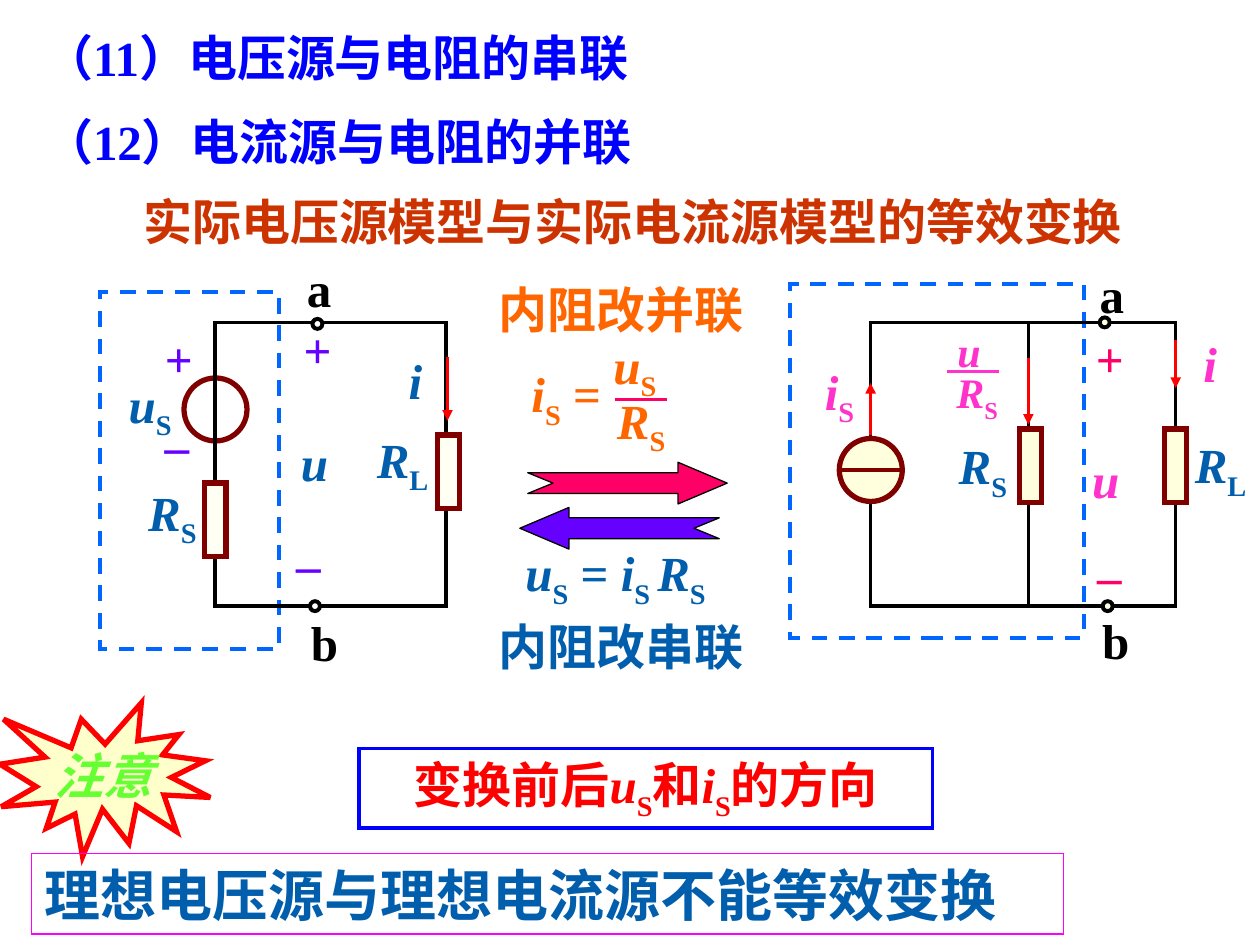
from lxml import etree
from pptx import Presentation
from pptx.dml.color import RGBColor
from pptx.enum.dml import MSO_LINE
from pptx.enum.shapes import MSO_CONNECTOR, MSO_SHAPE
from pptx.enum.text import MSO_ANCHOR, MSO_AUTO_SIZE, PP_ALIGN
from pptx.oxml.ns import qn
from pptx.util import Cm, Pt

RECT, OVAL, BURST = MSO_SHAPE.RECTANGLE, MSO_SHAPE.OVAL, MSO_SHAPE.EXPLOSION1
STRAIGHT, DASH = MSO_CONNECTOR.STRAIGHT, MSO_LINE.DASH
LEFT, CENTER = PP_ALIGN.LEFT, PP_ALIGN.CENTER
MIDDLE = MSO_ANCHOR.MIDDLE
GROW, FIXED = MSO_AUTO_SIZE.SHAPE_TO_FIT_TEXT, MSO_AUTO_SIZE.NONE

BLACK = RGBColor(0x00, 0x00, 0x00)
WHITE = RGBColor(0xFF, 0xFF, 0xFF)
BLUE = RGBColor(0x00, 0x00, 0xFF)
STEEL = RGBColor(0x00, 0x5E, 0xAC)
SKY = RGBColor(0x00, 0x66, 0xFF)
VIOLET = RGBColor(0x66, 0x00, 0xFF)
RED = RGBColor(0xFF, 0x00, 0x00)
BRICK = RGBColor(0xCC, 0x33, 0x00)
MAROON = RGBColor(0x80, 0x00, 0x00)
ORANGE = RGBColor(0xFF, 0x66, 0x00)
ROSE = RGBColor(0xFF, 0x00, 0x66)
PINK = RGBColor(0xFF, 0x33, 0xCC)
MAGENTA = RGBColor(0xFF, 0x00, 0xFF)
GREEN = RGBColor(0x66, 0xFF, 0x33)
PALE = RGBColor(0xFF, 0xFF, 0xCC)
CREAM = RGBColor(0xFF, 0xFF, 0xDD)
IVORY = RGBColor(0xFF, 0xFF, 0xF3)

prs = Presentation()
prs.slide_width, prs.slide_height = Cm(25.4), Cm(19.05)
slide = prs.slides.add_slide(prs.slide_layouts[6])
shapes = slide.shapes


def write(s, runs, color, size=28, align=CENTER, wrap=False, fit=GROW):
    """Runs are (text, style); style i is italic, s is subscript."""
    tf = s.text_frame
    tf.word_wrap = wrap
    tf.auto_size = fit
    tf.vertical_anchor = MIDDLE
    p = tf.paragraphs[0]
    p.alignment = align
    for text, style in runs:
        r = p.add_run()
        r.text = text
        r.font.name = "Times New Roman"
        r.font.size = Pt(size)
        r.font.bold = True
        r.font.italic = style == "i"
        r.font.color.rgb = color
        if style == "s":
            r.font._element.set("baseline", "-25000")


def draw(kind, x, y, w, h, fill, color, width):
    """Add a preset shape with sharp corners."""
    s = shapes.add_shape(kind, Cm(x), Cm(y), Cm(w), Cm(h))
    s.shadow.inherit = False
    if fill is None:
        s.fill.background()
    else:
        s.fill.solid()
        s.fill.fore_color.rgb = fill
    s.line.color.rgb = color
    s.line.width = Pt(width)
    etree.SubElement(s.element.spPr.find(qn("a:ln")), qn("a:miter"), lim="800000")
    return s


# Headings
for x, y, w, text, color in [
    (0.64, 0.43, 17.15, "（11）电压源与电阻的串联", BLUE),
    (0.64, 2.11, 17.15, "（12）电流源与电阻的并联", BLUE),
    (2.64, 3.73, 20.85, "实际电压源模型与实际电流源模型的等效变换", BRICK),
]:
    s = shapes.add_textbox(Cm(x), Cm(y), Cm(w), Cm(1.45))
    write(s, [(text, "")], color, align=LEFT, wrap=True)

# Notes at the bottom
s = draw(BURST, 0, 14.17, 4.24, 3.1, PALE, RED, 3)
write(s, [("注意", "i")], GREEN, fit=FIXED)
s = draw(RECT, 7.24, 15.09, 11.56, 1.6, WHITE, BLUE, 2.25)
write(s, [("变换前后", ""), ("u", "i"), ("S", "s"), ("和", ""), ("i", "i"),
          ("S", "s"), ("的方向", "")], RED, wrap=True)
s = draw(RECT, 0.64, 17.2, 20.8, 1.63, None, MAGENTA, 0.75)
write(s, [("理想电压源与理想电流源不能等效变换", "")], STEEL, 32, LEFT, True)

# Opposite block arrows, outlined from the upper tail corner
OUTLINE = [(0, 0), (3.03, 0), (3.03, -0.21), (4.02, 0.21), (3.03, 0.63),
           (3.03, 0.42), (0, 0.42), (0.51, 0.21)]
for x, y, way, color in [(10.64, 9.53, 1, ROSE), (14.5, 10.44, -1, VIOLET)]:
    points = [(Cm(x + way * dx), Cm(y + dy)) for dx, dy in OUTLINE]
    builder = shapes.build_freeform(*points[0])
    builder.add_line_segments(points[1:], close=True)
    s = builder.convert_to_shape()
    s.shadow.inherit = False
    s.fill.solid()
    s.fill.fore_color.rgb = color
    s.line.color.rgb = BLACK
    s.line.width = Pt(0.75)

# Dashed frames of the two source models
for x, y, w, h in [(2.01, 5.89, 3.61, 7.19), (15.93, 5.72, 5.92, 7.14)]:
    s = draw(RECT, x, y, w, h, None, SKY, 2.25)
    s.line.dash_style = DASH

# Sources and wire loops
draw(OVAL, 3.71, 7.62, 1.27, 1.27, None, MAROON, 3)
draw(RECT, 4.34, 6.5, 4.65, 5.72, None, BLACK, 2)
draw(RECT, 17.55, 6.5, 6.15, 5.72, None, BLACK, 2)
draw(OVAL, 16.92, 8.84, 1.27, 1.27, CREAM, MAROON, 3)

# Branch wire, source bar, fraction bars and current arrows
for x1, y1, x2, y2, color, arrow in [
    (20.73, 6.5, 20.73, 12.22, BLACK, False),
    (16.92, 9.47, 18.19, 9.47, MAROON, False),
    (12.4, 8.05, 13.44, 8.05, ROSE, False),
    (19.1, 7.49, 20.14, 7.49, PINK, False),
    (9.02, 7.19, 9.02, 8.48, RED, True),
    (20.73, 7.21, 20.73, 8.56, RED, True),
    (23.7, 6.86, 23.7, 7.82, RED, True),
    (17.55, 8.76, 17.55, 7.72, RED, True),
]:
    s = shapes.add_connector(STRAIGHT, Cm(x1), Cm(y1), Cm(x2), Cm(y2))
    s.line.color.rgb = color
    s.line.width = Pt(2)
    spPr = s.element.spPr
    if arrow:
        etree.SubElement(spPr.find(qn("a:ln")), qn("a:tailEnd"), type="triangle")
    etree.SubElement(spPr, qn("a:effectLst"))

# Resistors, placed by their centres
for cx, cy, fill in [(4.34, 10.48, IVORY), (9.04, 9.51, IVORY),
                     (20.78, 9.39, CREAM), (23.7, 9.39, CREAM)]:
    draw(RECT, cx - 0.22, cy - 0.74, 0.44, 1.48, fill, MAROON, 3)

# Terminals
for x, y, fill in [(6.3, 6.43, WHITE), (6.25, 12.12, WHITE),
                   (22.17, 6.4, CREAM), (22.23, 12.12, CREAM)]:
    draw(OVAL, x, y, 0.2, 0.2, fill, BLACK, 2.25)

# Labels and formulas
U, I = [("u", "i")], [("i", "i")]
U_S, I_S = U + [("S", "s")], I + [("S", "s")]
R_S, R_L = [("R", "i"), ("S", "s")], [("R", "i"), ("L", "s")]
A, B, PLUS = [("a", "")], [("b", "")], [("+", "")]
SLACK = 0.05  # room on both sides that keeps each label on one line
for x, y, w, h, runs, color, size in [
    # Conversion formulas
    (9.8, 5.51, 5.44, 1.45, [("内阻改并联", "")], ORANGE, 28),
    (10.46, 7.21, 1.91, 1.6, I_S + [(" =", "")], ORANGE, 28),
    (11.86, 6.63, 1.63, 1.6, [(" u", "i"), ("S", "s")], ORANGE, 28),
    (12.19, 7.75, 1.47, 1.6, R_S, ORANGE, 28),
    (10.34, 10.82, 4.14, 1.6,
     U_S + [(" = ", ""), ("i", "i"), ("S ", "s")] + R_S, STEEL, 28),
    (9.8, 12.29, 5.44, 1.45, [("内阻改串联", "")], STEEL, 28),
    # Voltage source circuit
    (5.94, 5.08, 0.99, 1.45, A, BLACK, 28),
    (6.02, 12.22, 1.04, 1.45, B, BLACK, 28),
    (7.98, 6.93, 0.79, 1.45, I, STEEL, 28),
    (5.82, 8.59, 1.04, 1.45, U, STEEL, 28),
    (2.34, 7.42, 1.37, 1.6, U_S, STEEL, 28),
    (2.74, 9.6, 1.47, 1.6, R_S, STEEL, 28),
    (7.34, 8.53, 1.55, 1.6, R_L, STEEL, 28),
    (5.87, 6.3, 1.07, 1.45, PLUS, VIOLET, 28),
    (5.72, 10.31, 0.99, 1.45, [("_", "")], VIOLET, 28),
    (3.07, 6.5, 1.07, 1.45, PLUS, VIOLET, 28),
    (3.07, 7.9, 0.99, 1.45, [("_", "")], VIOLET, 28),
    # Current source circuit
    (21.92, 5.21, 0.99, 1.45, A, BLACK, 28),
    (21.97, 12.17, 1.04, 1.45, B, BLACK, 28),
    (24.0, 6.6, 0.79, 1.45, I, PINK, 28),
    (21.77, 8.94, 1.04, 1.45, U, PINK, 28),
    (16.38, 7.16, 1.09, 1.6, I_S, PINK, 28),
    (18.94, 6.43, 1.19, 1.27, U, PINK, 24),
    (18.82, 7.26, 1.55, 1.42, [(" R", "i"), ("S", "s")], PINK, 24),
    (19.08, 8.66, 1.47, 1.6, R_S, STEEL, 28),
    (23.83, 8.64, 1.55, 1.6, R_L, STEEL, 28),
    (21.84, 6.5, 1.07, 1.45, PLUS, ROSE, 28),
    (21.87, 10.87, 0.99, 1.45, [("–", "")], ROSE, 28),
]:
    s = shapes.add_textbox(Cm(x - SLACK), Cm(y), Cm(w + 2 * SLACK), Cm(h))
    write(s, runs, color, size)

prs.save("out.pptx")
